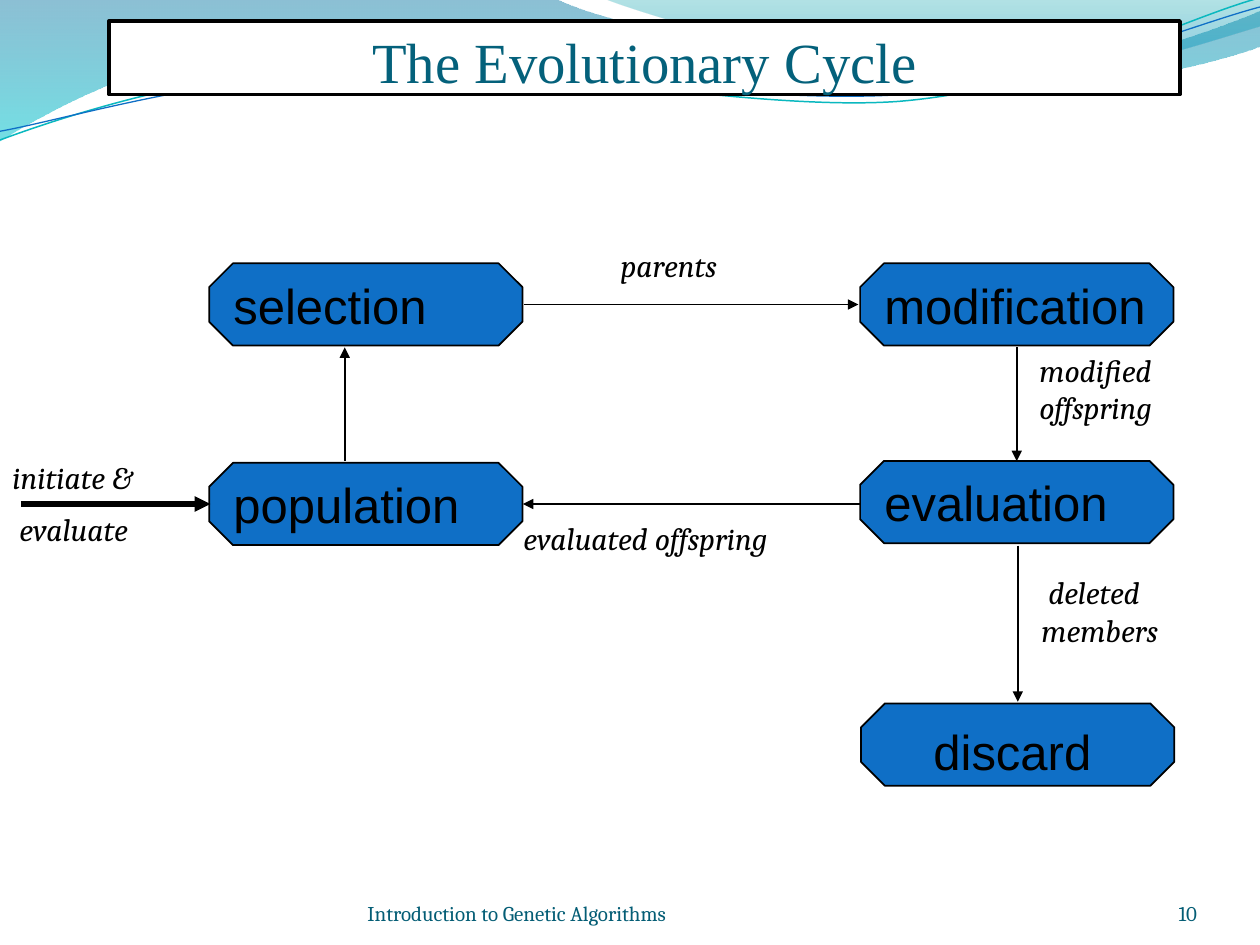
from lxml.etree import SubElement
from pptx import Presentation
from pptx.dml.color import RGBColor
from pptx.enum.shapes import MSO_CONNECTOR, MSO_SHAPE
from pptx.enum.text import MSO_ANCHOR, MSO_AUTO_SIZE, PP_ALIGN
from pptx.oxml.ns import qn
from pptx.util import Pt

BLACK = RGBColor(0x00, 0x00, 0x00)
WHITE = RGBColor(0xFF, 0xFF, 0xFF)
BLUE = RGBColor(0x0F, 0x6F, 0xC6)
TEAL = RGBColor(0x0A, 0xB8, 0xBF)
TITLE_TEAL = RGBColor(0x04, 0x61, 0x7B)
FOOTER_TEAL = RGBColor(0x04, 0x5D, 0x75)
DEEP_BLUE = RGBColor(0x00, 0x74, 0xA1)
CYAN = RGBColor(0x00, 0xC6, 0xCF)
SEA_GREEN = RGBColor(0x00, 0xA1, 0xA9)
SKY_BLUE = RGBColor(0x00, 0x8B, 0xBF)

BOX_WIDTH, BOX_HEIGHT = 179, 47
LEFT_COLUMN, RIGHT_COLUMN = 119.5, 491.5
TOP_ROW, EVALUATION_ROW, POPULATION_ROW, BOTTOM_ROW = 150.5, 263.4, 264.5, 402

LEFT_BAND = [(0, 0), (317, -1),
             ((343, 12), (478, 45), (546, 45)), ((614, 45), (690, 19), (720, 6)),
             (721, 26),
             ((708, 32), (626, 55), (537, 54)), ((448, 54), (275, 20), (185, 24)),
             ((93, 26), (33, 60), (-1, 81)), (0, 0)]
RIGHT_BAND = [(345, -1),
              ((366, 8), (491, 45), (554, 47)), ((616, 50), (692, 23), (720, 15)),
              (720, 0), (345, -1)]
TEAL_WAVE = [(0, 80), ((35, 67), (114, 41), (199, 37)),
             ((284, 34), (427, 64), (513, 58)), ((600, 51), (675, 11), (719, -1))]
BLUE_WAVE = [(0, 75), ((34, 69), (118, 44), (204, 40)),
             ((290, 37), (430, 60), (516, 54)), ((602, 48), (678, 15), (720, 4))]


def is_curve(segment):
    return len(segment) == 3


def add_outline(slide, segments, close):
    anchors = [segment[-1] if is_curve(segment) else segment for segment in segments]
    points = [(Pt(x), Pt(y)) for x, y in anchors]
    builder = slide.shapes.build_freeform(*points[0])
    builder.add_line_segments(points[1:], close=close)
    shape = builder.convert_to_shape()
    shape.shadow.inherit = False
    lines = list(shape._element.spPr.iter(qn("a:lnTo")))
    for line, segment in zip(lines, segments[1:]):
        if is_curve(segment):
            curve = SubElement(line.getparent(), qn("a:cubicBezTo"))
            for x, y in segment:
                SubElement(curve, qn("a:pt"), x=str(Pt(x) - shape.left),
                           y=str(Pt(y) - shape.top))
            line.getparent().replace(line, curve)
    return shape


def add_band(slide, segments, stops):
    shape = add_outline(slide, segments, True)
    shape.line.fill.background()
    shape.fill.gradient()
    shape.fill.gradient_angle = 270
    for stop, (position, color, opacity) in zip(shape.fill.gradient_stops, stops):
        stop.position = position
        stop.color.rgb = color
    elements = shape._element.spPr.iter(qn("a:srgbClr"))
    for element, (position, color, opacity) in zip(elements, stops):
        SubElement(element, qn("a:alpha"), val=str(opacity * 1000))


def add_wave(slide, segments, color, width):
    shape = add_outline(slide, segments, False)
    shape.fill.background()
    shape.line.color.rgb = color
    shape.line.width = Pt(width)


def write_text(shape, text, *, size, font, color=BLACK, italic=False,
               align=PP_ALIGN.LEFT, anchor=MSO_ANCHOR.TOP,
               insets=(7.2, 3.6, 7.2, 3.6), wrap=False, grow=False):
    frame = shape.text_frame
    frame.word_wrap = wrap
    frame.auto_size = MSO_AUTO_SIZE.SHAPE_TO_FIT_TEXT if grow else MSO_AUTO_SIZE.NONE
    frame.vertical_anchor = anchor
    frame.margin_left, frame.margin_top, frame.margin_right, frame.margin_bottom = map(Pt, insets)
    frame.text = text
    for paragraph in frame.paragraphs:
        paragraph.alignment = align
        for run in paragraph.runs:
            run.font.size = Pt(size)
            run.font.name = font
            run.font.color.rgb = color
            run.font.italic = italic


def add_text(slide, text, left, top, width, height, **text_format):
    shape = slide.shapes.add_textbox(Pt(left), Pt(top), Pt(width), Pt(height))
    write_text(shape, text, **text_format)


def add_label(slide, text, left, top, width, height, wrap=False):
    add_text(slide, text, left, top, width, height, size=18, font="Cambria",
             italic=True, wrap=wrap, grow=True)


def add_footer(slide, text, left, width, align):
    add_text(slide, text, left, 500.4, width, 28.8, size=12, font="Cambria",
             color=FOOTER_TEAL, align=align, anchor=MSO_ANCHOR.BOTTOM,
             insets=(0, 0, 0, 0), wrap=True)


def add_box(slide, kind, left, top, width, height, fill, line_width):
    shape = slide.shapes.add_shape(kind, Pt(left), Pt(top), Pt(width), Pt(height))
    shape.shadow.inherit = False
    shape.fill.solid()
    shape.fill.fore_color.rgb = fill
    shape.line.color.rgb = BLACK
    shape.line.width = Pt(line_width)
    return shape


def add_stage(slide, left, top, text=None):
    shape = add_box(slide, MSO_SHAPE.OCTAGON, left, top, BOX_WIDTH, BOX_HEIGHT, BLUE, 1)
    shape.adjustments[0] = 0.29
    if text:
        write_text(shape, text, size=28, font="Arial", anchor=MSO_ANCHOR.MIDDLE)


def add_arrow(slide, start, end, width=1):
    connector = slide.shapes.add_connector(
        MSO_CONNECTOR.STRAIGHT, *map(Pt, start), *map(Pt, end))
    connector.line.color.rgb = BLACK
    connector.line.width = Pt(width)
    SubElement(connector.line._get_or_add_ln(), qn("a:tailEnd"), type="triangle")
    SubElement(connector._element.spPr, qn("a:effectLst"))


def add_background(slide):
    add_band(slide, LEFT_BAND, [(0, DEEP_BLUE, 45), (1, CYAN, 55)])
    add_band(slide, RIGHT_BAND, [(0, SEA_GREEN, 30), (0.8, SKY_BLUE, 45)])
    add_wave(slide, TEAL_WAVE, TEAL, 0.85)
    add_wave(slide, BLUE_WAVE, BLUE, 0.75)


def main():
    presentation = Presentation()
    presentation.slide_width, presentation.slide_height = Pt(720), Pt(540)
    slide = presentation.slides.add_slide(presentation.slide_layouts[6])

    add_background(slide)
    title = add_box(slide, MSO_SHAPE.RECTANGLE, 62.4, 12, 612, 42, WHITE, 2)
    write_text(title, "The Evolutionary Cycle", size=32.4, font="Times New Roman",
               color=TITLE_TEAL, align=PP_ALIGN.CENTER, anchor=MSO_ANCHOR.BOTTOM,
               insets=(0, 3.6, 0, 0), wrap=True)
    add_footer(slide, "Introduction to Genetic Algorithms", 210, 264, PP_ALIGN.LEFT)
    add_footer(slide, "10", 624, 60, PP_ALIGN.RIGHT)

    add_stage(slide, LEFT_COLUMN, TOP_ROW, "selection")
    add_stage(slide, LEFT_COLUMN, POPULATION_ROW, "population")
    add_stage(slide, RIGHT_COLUMN, EVALUATION_ROW, "evaluation")
    add_stage(slide, RIGHT_COLUMN, TOP_ROW, "modification")
    add_stage(slide, RIGHT_COLUMN + 0.5, BOTTOM_ROW)

    add_arrow(slide, (299.5, 174), (490.5, 174))
    add_arrow(slide, (197, 263.5), (197, 198.5))
    add_arrow(slide, (581.6, 311.8), (581.6, 401))
    add_text(slide, "discard", 526.3, 409, 104.4, 40.3, size=28, font="Arial", grow=True)
    add_arrow(slide, (491.5, 288), (298.8, 288))
    add_arrow(slide, (581, 198.5), (581, 263.5))

    add_label(slide, " deleted\nmembers", 588, 324, 101, 65)
    add_label(slide, "parents", 347.6, 137, 86.5, 36)
    add_label(slide, "modified\noffspring", 586.8, 196.8, 101, 65)
    add_label(slide, "evaluated offspring", 292, 293, 200, 36)
    add_arrow(slide, (12, 288), (120.2, 288), width=3)
    add_label(slide, "initiate &", 0, 258, 114, 36, wrap=True)
    add_label(slide, " evaluate", 0, 288, 120, 36, wrap=True)

    presentation.save("out.pptx")


if __name__ == "__main__":
    main()
